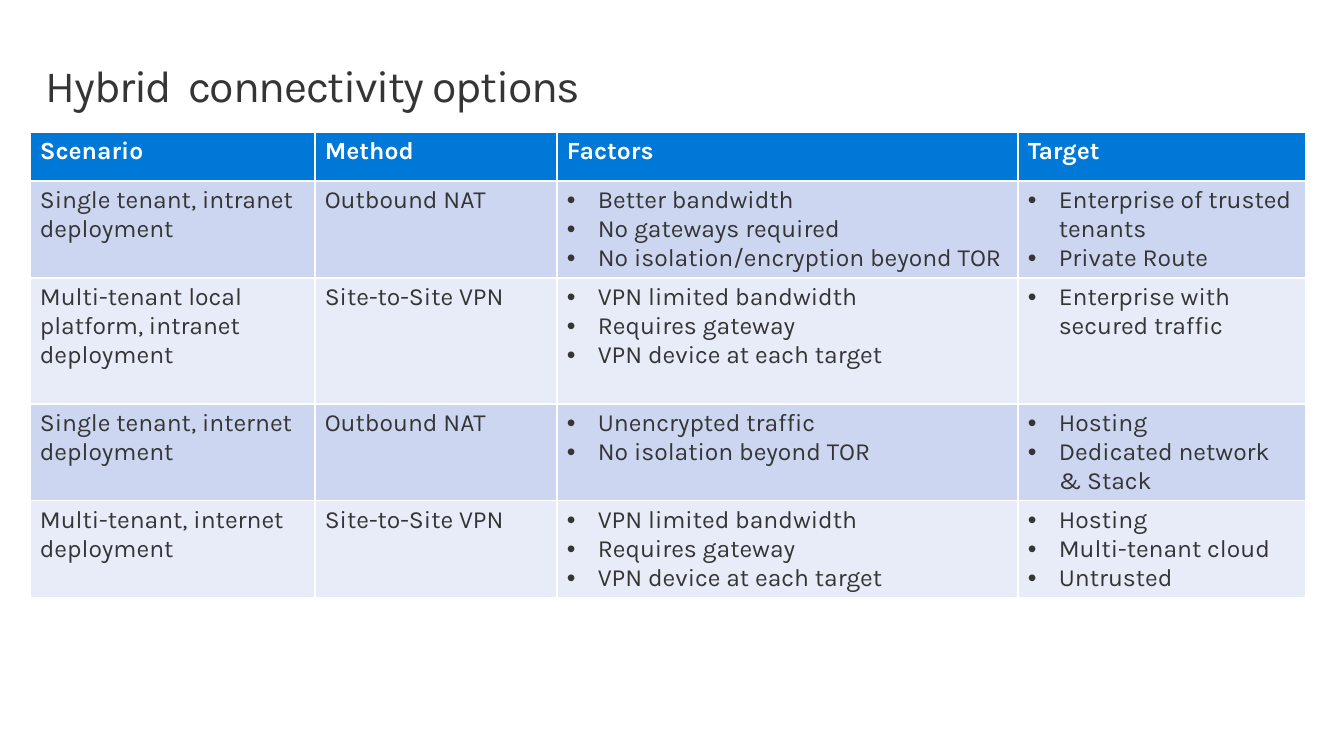
from lxml import etree
from pptx import Presentation
from pptx.dml.color import RGBColor
from pptx.enum.text import MSO_ANCHOR, MSO_AUTO_SIZE, PP_ALIGN
from pptx.oxml.ns import qn
from pptx.util import Pt

MIDDLE = MSO_ANCHOR.MIDDLE
NO_AUTOFIT = MSO_AUTO_SIZE.NONE
LEFT = PP_ALIGN.LEFT
PX = 9255
FONT = "Karla"
TEXT, WHITE, HEADER = "353535", "FFFFFF", "0078D7"
BANDS = ["E7ECF8", "CCD6F0"]
COLUMN_WIDTHS = [285, 242, 461, 288]
ROW_HEIGHTS = [49, 97, 126, 97, 96]
BULLET_INDENT = 31

VPN_FACTORS = ["VPN limited bandwidth", "Requires gateway", "VPN device at each target"]
ROWS = [
    ["Scenario", "Method", "Factors", "Target"],
    ["Single tenant, intranet deployment", "Outbound NAT",
     ["Better bandwidth", "No gateways required", "No isolation/encryption beyond TOR"],
     ["Enterprise of trusted tenants", "Private Route"]],
    ["Multi-tenant local platform, intranet deployment", "Site-to-Site VPN",
     VPN_FACTORS, ["Enterprise with secured traffic"]],
    ["Single tenant, internet deployment", "Outbound NAT",
     ["Unencrypted traffic", "No isolation beyond TOR"],
     ["Hosting", "Dedicated network & Stack"]],
    ["Multi-tenant, internet deployment", "Site-to-Site VPN",
     VPN_FACTORS, ["Hosting", "Multi-tenant cloud", "Untrusted"]],
]


def color(value):
    return RGBColor.from_string(value)


def add_bullet(paragraph):
    properties = paragraph._p.get_or_add_pPr()
    properties.set("marL", str(BULLET_INDENT * PX))
    properties.set("indent", str(-BULLET_INDENT * PX))
    etree.SubElement(properties, qn("a:buFont")).set("typeface", "Arial")
    etree.SubElement(properties, qn("a:buChar")).set("char", "•")


presentation = Presentation()
presentation.slide_width = 1344 * PX
presentation.slide_height = 756 * PX
slide = presentation.slides.add_slide(presentation.slide_layouts[5])

title = slide.shapes.title
title.left, title.top, title.width, title.height = 30 * PX, 32 * PX, 1284 * PX, 99 * PX
frame = title.text_frame
frame.auto_size = NO_AUTOFIT
frame.word_wrap = True
frame.vertical_anchor = MIDDLE
frame.margin_left = frame.margin_right = 16 * PX
frame.margin_top = frame.margin_bottom = 10 * PX
paragraph = frame.paragraphs[0]
paragraph.alignment = LEFT
paragraph.line_spacing = 0.9
paragraph.font.name = FONT
paragraph.font.color.rgb = color(TEXT)
for text, size in [("Hybrid", 32.6), (" ", 48), ("connectivity options", 32.6)]:
    run = paragraph.add_run()
    run.text = text
    run.font.size = Pt(size)
    run._r.get_or_add_rPr().set("spc", "-100")

table = slide.shapes.add_table(
    len(ROWS), len(COLUMN_WIDTHS), 30 * PX, 132 * PX,
    sum(COLUMN_WIDTHS) * PX, sum(ROW_HEIGHTS) * PX).table
for column, width in zip(table.columns, COLUMN_WIDTHS):
    column.width = width * PX
for row, height in zip(table.rows, ROW_HEIGHTS):
    row.height = height * PX

for row_index, contents in enumerate(ROWS):
    is_header = row_index == 0
    for column_index, content in enumerate(contents):
        cell = table.cell(row_index, column_index)
        cell.fill.solid()
        cell.fill.fore_color.rgb = color(HEADER if is_header else BANDS[row_index % 2])
        is_list = isinstance(content, list)
        cell.text = "\n".join(content) if is_list else content
        for paragraph in cell.text_frame.paragraphs:
            paragraph.font.name = FONT
            paragraph.font.size = Pt(18)
            paragraph.font.bold = is_header
            paragraph.font.color.rgb = color(WHITE if is_header else TEXT)
            if is_list:
                add_bullet(paragraph)

presentation.save("out.pptx")
